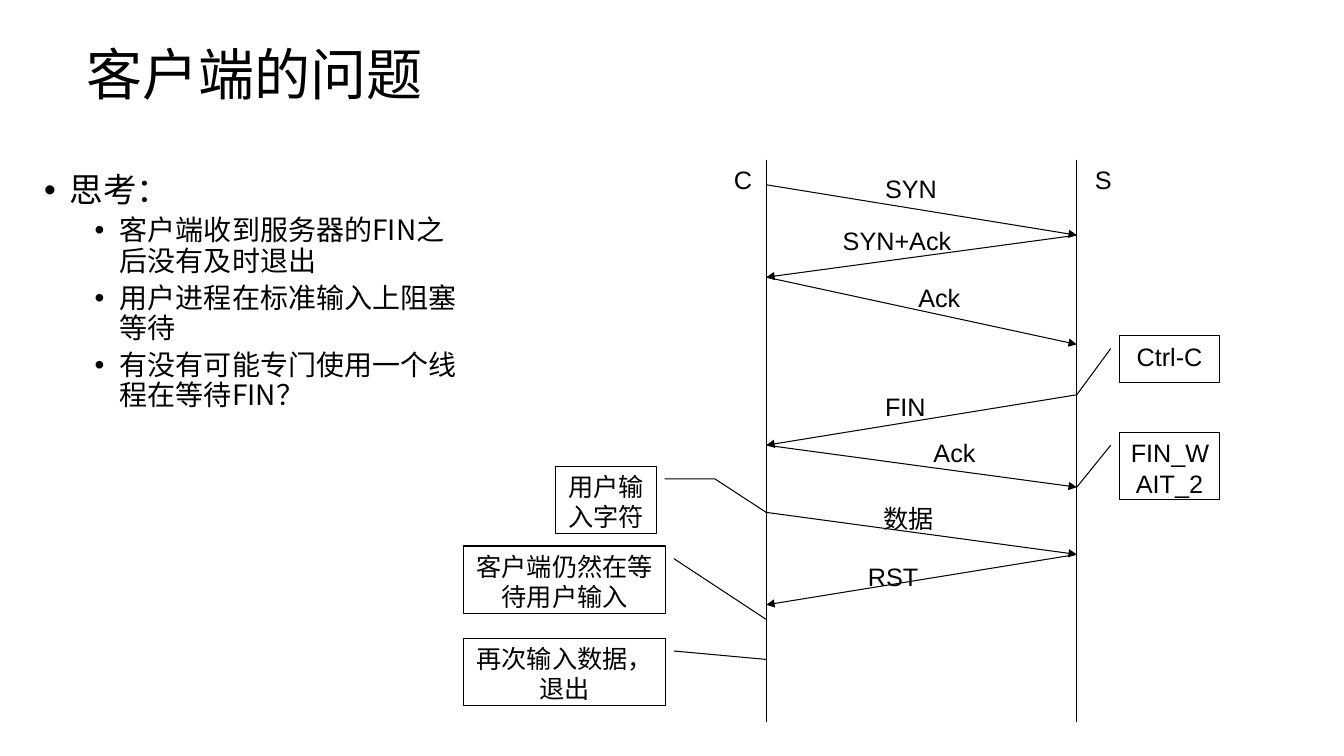
from lxml import etree
from pptx import Presentation
from pptx import util as u
from pptx.dml.color import RGBColor
from pptx.enum import shapes, text
from pptx.oxml.ns import qn

SANS = "Arial"
CJK = "Noto Sans CJK SC"
BLACK, WHITE = "000000", "FFFFFF"

# The diagram sits on rows of a twelfth of an inch between two lifelines
ROW = 1 / 12
CLIENT, SERVER = 7.6, 10.68
LIFE_TOP, LIFE_END = 19, 86

# from client?, start row, end row, label, label left, label top row, label width
MESSAGES = [
    (True, 22, 28, "SYN", 8.68, 20, 0.72),
    (False, 28, 33, "SYN+Ack", 8.26, 26.2, 1.28),
    (True, 33, 41, "Ack", 9.01, 33, 0.62),
    (False, 47, 53, "FIN", 8.68, 46, 0.6),
    (True, 53, 58, "Ack", 9.16, 51.5, 0.62),
    (True, 61, 66, "数据", 8.66, 59.3, 0.7),
    (False, 66, 72, "RST", 8.51, 66.2, 0.7),
]

# text, left, top row, width, rows high, lifeline, target row, elbow x
CALLOUTS = [
    ("再次输入数据，退出", 4.6, 76, 2, 8, CLIENT, 78.5, None),
    ("客户端仍然在等待用户输入", 4.6, 65, 2, 8, CLIENT, 73.75, None),
    ("用户输入字符", 5.51, 55.5, 1, 8, CLIENT, 61, 7.09),
    ("Ctrl-C", 11.1, 40, 1, 5.5, SERVER, 47, None),
    ("FIN_WAIT_2", 11.1, 51.5, 1, 8, SERVER, 58, None),
]

QUESTIONS = [
    "客户端收到服务器的FIN之后没有及时退出",
    "用户进程在标准输入上阻塞等待",
    "有没有可能专门使用一个线程在等待FIN？",
]


def color(value):
    return RGBColor.from_string(value)


def rows(count):
    return u.Inches(count * ROW)


def format_runs(paragraph, size, font):
    for run in paragraph.runs:
        run.font.size = u.Pt(size)
        run.font.name = font
        run.font.color.rgb = color(BLACK)
        east_asian = etree.SubElement(run.font._element, qn("a:ea"))
        east_asian.set("typeface", CJK)


def add_text(slide, content, left, top, width, height, size, font, wrap):
    shape = slide.shapes.add_textbox(u.Inches(left), u.Inches(top),
                                     u.Inches(width), u.Inches(height))
    shape.text_frame.word_wrap = wrap
    shape.text_frame.text = content
    for paragraph in shape.text_frame.paragraphs:
        format_runs(paragraph, size, font)
    return shape


def add_label(slide, content, left, top_row, width):
    shape = add_text(slide, content, left, top_row * ROW, width, 0.4, 18, SANS, False)
    shape.text_frame.auto_size = text.MSO_AUTO_SIZE.SHAPE_TO_FIT_TEXT


def add_line(slide, start_x, start_row, end_x, end_row, arrow=False):
    line = slide.shapes.add_connector(
        shapes.MSO_CONNECTOR.STRAIGHT,
        u.Inches(start_x), rows(start_row), u.Inches(end_x), rows(end_row))
    line.line.color.rgb = color(BLACK)
    line.line.width = u.Pt(0.75)
    if arrow:
        etree.SubElement(line.line._get_or_add_ln(), qn("a:tailEnd"), type="triangle")
    etree.SubElement(line._element.spPr, qn("a:effectLst"))


def add_callout(slide, content, left, top_row, width, height, lifeline, target_row, elbow):
    kind = shapes.MSO_SHAPE.LINE_CALLOUT_2 if elbow else shapes.MSO_SHAPE.LINE_CALLOUT_1
    shape = slide.shapes.add_shape(kind, u.Inches(left), rows(top_row),
                                   u.Inches(width), rows(height))
    shape.shadow.inherit = False
    shape.fill.solid()
    shape.fill.fore_color.rgb = color(WHITE)
    shape.line.color.rgb = color(BLACK)
    shape.line.width = u.Pt(0.75)

    # The leader starts one row beside the box and ends on the lifeline
    start_x = left + width + ROW if lifeline > left else left - ROW
    start_row = top_row + 1.5
    points = [(start_x, start_row), (lifeline, target_row)]
    if elbow:
        points.insert(1, (elbow, start_row))
    for index, (x, row) in enumerate(points):
        shape.adjustments[2 * index] = (row - top_row) / height
        shape.adjustments[2 * index + 1] = (x - left) / width

    frame = shape.text_frame
    frame.word_wrap = True
    frame.vertical_anchor = text.MSO_ANCHOR.TOP
    frame.text = content
    frame.paragraphs[0].alignment = text.PP_ALIGN.CENTER
    format_runs(frame.paragraphs[0], 18, SANS)


def add_bullet(paragraph, indent, level):
    properties = paragraph._p.get_or_add_pPr()
    properties.set("marL", str(u.Inches(indent)))
    properties.set("indent", str(u.Inches(-0.25)))
    etree.SubElement(properties, qn("a:buFont"), typeface=SANS)
    etree.SubElement(properties, qn("a:buChar"), char="•")
    paragraph.level = level


def add_questions(slide):
    shape = add_text(slide, "\n".join(["思考："] + QUESTIONS),
                     0.34, 1.67, 4.42, 4.25, 20, CJK, True)
    for index, paragraph in enumerate(shape.text_frame.paragraphs):
        add_bullet(paragraph, 0.75 if index else 0.25, 1 if index else 0)
        paragraph.line_spacing = 0.9
        if index:
            paragraph.space_before = u.Pt(5)
        else:
            paragraph.runs[0].font.size = u.Pt(24)


def main():
    presentation = Presentation()
    presentation.slide_width = u.Inches(13.33)
    presentation.slide_height = u.Inches(7.5)
    slide = presentation.slides.add_slide(presentation.slide_layouts[6])

    # Title and questions
    title = add_text(slide, "客户端的问题", 0.76, 0.14, 10.5, 1.25, 40, CJK, True)
    title.text_frame.vertical_anchor = text.MSO_ANCHOR.MIDDLE
    title.text_frame.paragraphs[0].line_spacing = 0.9
    add_questions(slide)

    # Notes beside the lifelines
    for callout in CALLOUTS:
        add_callout(slide, *callout)

    # Lifelines of client and server
    for lifeline in (CLIENT, SERVER):
        add_line(slide, lifeline, LIFE_TOP, lifeline, LIFE_END)
    add_label(slide, "C", 7.18, LIFE_TOP, 0.38)
    add_label(slide, "S", 10.76, LIFE_TOP, 0.37)

    # Messages between them
    for from_client, start, end, label, left, top, width in MESSAGES:
        sender, receiver = (CLIENT, SERVER) if from_client else (SERVER, CLIENT)
        add_line(slide, sender, start, receiver, end, arrow=True)
        add_label(slide, label, left, top, width)

    presentation.save("out.pptx")


if __name__ == "__main__":
    main()
